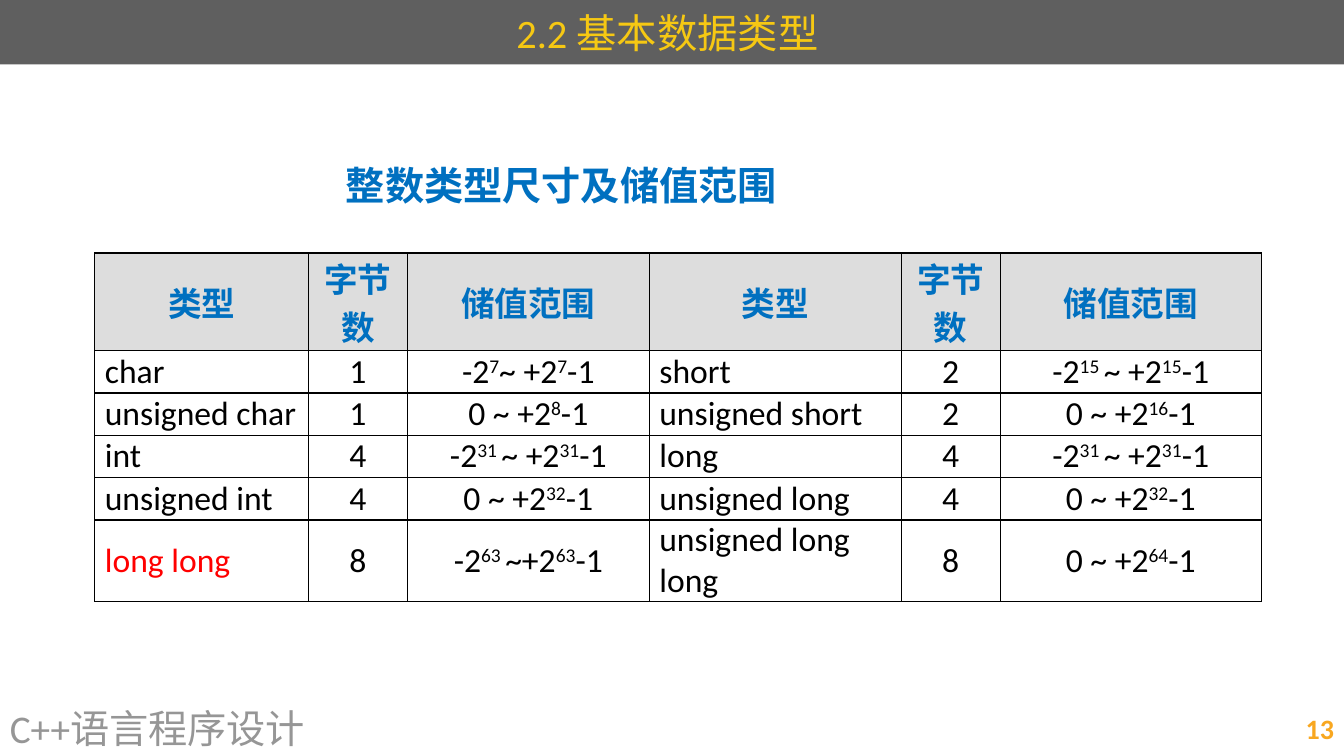
import pptx
import pptx.dml.color
import pptx.enum.shapes
import pptx.enum.text
import pptx.util
from lxml import etree
from pptx.oxml.ns import qn

Inches, Pt = pptx.util.Inches, pptx.util.Pt
ALIGN = pptx.enum.text.PP_ALIGN
MIDDLE = pptx.enum.text.MSO_ANCHOR.MIDDLE
W, H = 13.33, 7.5
BLUE, BLACK, RED = "0070C0", "000000", "FF0000"
CJK = "Noto Sans CJK SC"


def rgb(code):
    return pptx.dml.color.RGBColor.from_string(code)


def style(p, size, color, bold=False, align=ALIGN.LEFT, latin="Calibri"):
    """Align a paragraph and set the font of all its runs."""
    p.alignment = align
    for r in p.runs:
        r.font.size, r.font.bold, r.font.name = Pt(size), bold, latin
        r.font.color.rgb = rgb(color)
        ea = etree.SubElement(r._r.get_or_add_rPr(), qn("a:ea"))
        ea.set("typeface", CJK)


prs = pptx.Presentation()
prs.slide_width, prs.slide_height = Inches(W), Inches(H)
s = prs.slides.add_slide(prs.slide_layouts[6])

# Title bar
bar = s.shapes.add_shape(pptx.enum.shapes.MSO_SHAPE.RECTANGLE,
                         0, 0, Inches(W), Inches(0.64))
bar.shadow.inherit = False
bar.fill.solid()
bar.fill.fore_color.rgb = rgb("5F5F5F")
bar.line.fill.background()
bar.text_frame.vertical_anchor = MIDDLE
bar.text_frame.text = "2.2 基本数据类型 "
style(bar.text_frame.paragraphs[0], 28.8, "F6C813", align=ALIGN.CENTER)

# Caption, footer and page number
FOOT = 0.55
texts = [
    ("整数类型尺寸及储值范围", W / 4, 1.55, W / 2, 0.57,
     28, BLUE, True, ALIGN.LEFT, CJK),
    ("C++语言程序设计", 0, H - FOOT, 8.78, FOOT,
     28, "969696", False, ALIGN.LEFT, "Calibri"),
    ("13", W - 3.78, H - FOOT, 3.78, FOOT,
     20, "F8A720", True, ALIGN.RIGHT, "Calibri"),
]
for text, x, y, w, h, *look in texts:
    tf = s.shapes.add_textbox(Inches(x), Inches(y), Inches(w), Inches(h)).text_frame
    tf.word_wrap = True
    tf.vertical_anchor = MIDDLE
    tf.text = text
    style(tf.paragraphs[0], *look)

# Table of integer types; text between carets is superscript
rows = [
    ["类型", "字节数", "储值范围"] * 2,
    ["char", "1", "-2^7^~ +2^7^-1", "short", "2", "-2^15 ^~ +2^15^-1"],
    ["unsigned char", "1", "0 ~ +2^8^-1", "unsigned short", "2", "0 ~ +2^16^-1"],
    ["int", "4", "-2^31 ^~ +2^31^-1", "long", "4", "-2^31 ^~ +2^31^-1"],
    ["unsigned int", "4", "0 ~ +2^32^-1", "unsigned long", "4", "0 ~ +2^32^-1"],
    ["long long", "8", "-2^63 ^~+2^63^-1", "unsigned long long", "8", "0 ~ +2^64^-1"],
]
col_widths = [2.12, 0.98, 2.4, 2.5, 0.98, 2.59]
row_heights = [0.97] + [0.42] * 4 + [0.81]
table = s.shapes.add_table(len(rows), len(col_widths), Inches(0.94), Inches(2.51),
                           Inches(sum(col_widths)), Inches(sum(row_heights))).table
for column, width in zip(table.columns, col_widths):
    column.width = Inches(width)

for i, row in enumerate(rows):
    table.rows[i].height = Inches(row_heights[i])
    for j, text in enumerate(row):
        cell = table.cell(i, j)
        cell.vertical_anchor = MIDDLE
        cell.margin_left = cell.margin_right = Inches(0.1)
        cell.margin_top = cell.margin_bottom = 0
        p = cell.text_frame.paragraphs[0]
        for k, part in enumerate(text.split("^")):
            r = p.add_run()
            r.text = part
            if k % 2:
                r._r.get_or_add_rPr().set("baseline", "30000")
        header = i == 0
        color = BLUE if header else RED if text == "long long" else BLACK
        is_name = not header and j % 3 == 0
        style(p, 24, color, header, ALIGN.LEFT if is_name else ALIGN.CENTER)

        tcPr = cell._tc.get_or_add_tcPr()
        for side in ("a:lnL", "a:lnR", "a:lnT", "a:lnB"):
            ln = etree.SubElement(tcPr, qn(side), w=str(Pt(1)))
            fill = etree.SubElement(ln, qn("a:solidFill"))
            etree.SubElement(fill, qn("a:srgbClr"), val=BLACK)
        if header:
            cell.fill.solid()
            cell.fill.fore_color.rgb = rgb("DDDDDD")
        else:
            cell.fill.background()

prs.save("out.pptx")
